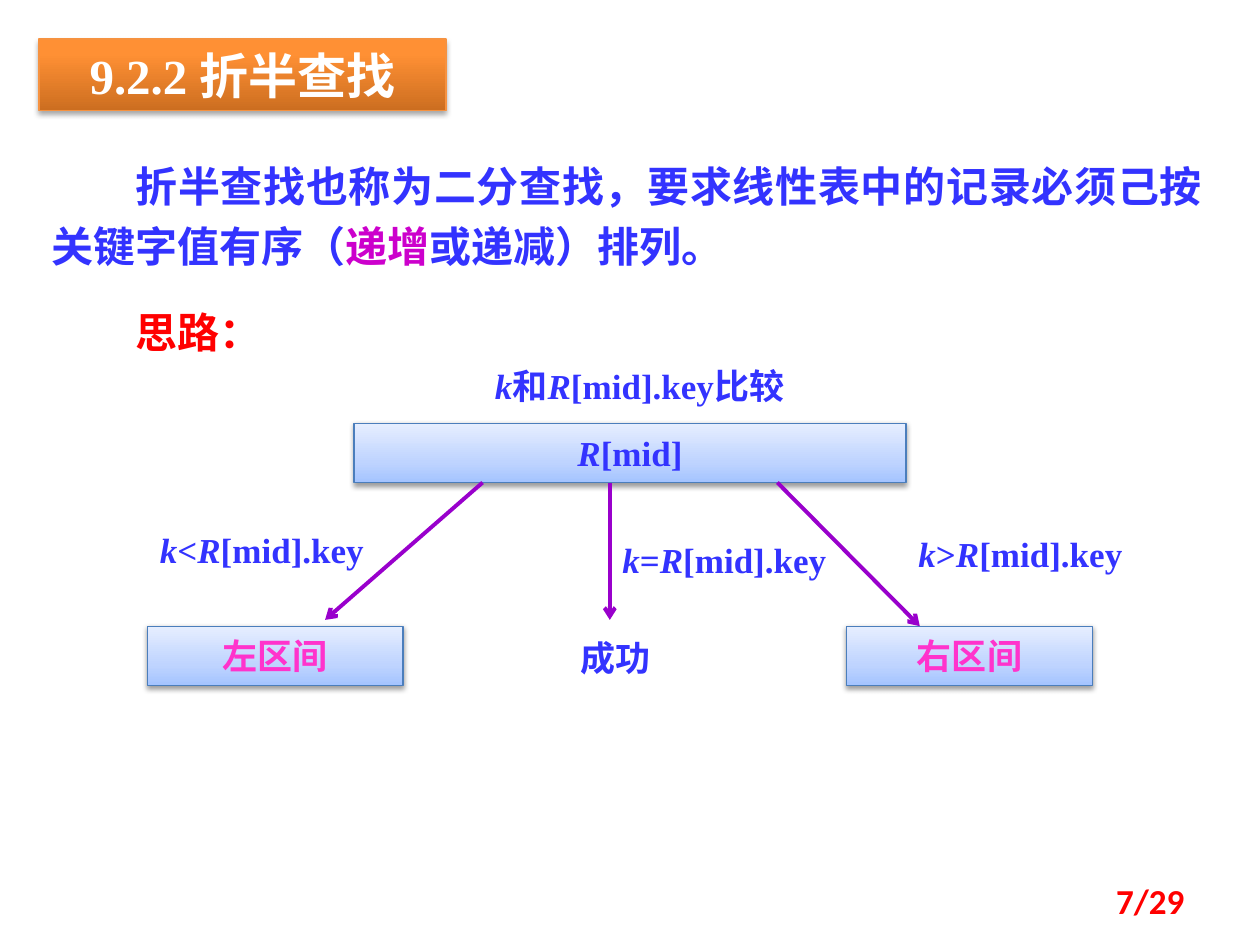
from dataclasses import dataclass
from typing import NamedTuple, Optional

from lxml import etree
from pptx import Presentation
from pptx import util as u
from pptx.dml.color import RGBColor
from pptx.enum import shapes, text
from pptx.oxml import ns, parse_xml

LEFT, CENTER, RIGHT = text.PP_ALIGN.LEFT, text.PP_ALIGN.CENTER, text.PP_ALIGN.RIGHT


@dataclass(frozen=True)
class Theme:
    serif: str = "Times New Roman"
    sans: str = "Noto Sans CJK SC"
    footer: str = "Calibri"
    blue: str = "3333FF"
    purple: str = "CC00CC"
    red: str = "FF0000"
    pink: str = "FF33CC"
    white: str = "FFFFFF"
    arrow: str = "9900CC"
    title_size: int = 28
    body_size: int = 24
    label_size: int = 20


THEME = Theme()


class Area(NamedTuple):
    left: float
    top: float
    width: float
    height: float


class Style(NamedTuple):
    font: str
    size: int
    color: str
    align: text.PP_ALIGN = LEFT


class Span(NamedTuple):
    words: str
    italic: bool = False
    color: Optional[str] = None


class Panel(NamedTuple):
    stops: tuple
    line: str
    shadow_alpha: int
    shadow_distance: float


class Block(NamedTuple):
    area: Area
    spans: list
    style: Style
    panel: Optional[Panel] = None


class Arrow(NamedTuple):
    start: tuple
    end: tuple


ORANGE = Panel(((0, "CC6E20"), (80, "FF9034"), (100, "FF9136")), "F69240", 35, 1.8)
SKY = Panel(((0, "A4C4FF"), (35, "BFD4FF"), (100, "E6EEFF")), "4B7EBC", 38, 1.6)

TITLE = Style(THEME.serif, THEME.title_size, THEME.white, CENTER)
BODY = Style(THEME.serif, THEME.body_size, THEME.blue, text.PP_ALIGN.JUSTIFY)
IDEA = Style(THEME.sans, THEME.body_size, THEME.red, text.PP_ALIGN.JUSTIFY)
LABEL = Style(THEME.serif, THEME.label_size, THEME.blue)
NODE = LABEL._replace(align=CENTER)
RANGE = Style(THEME.sans, THEME.label_size, THEME.pink, CENTER)
RESULT = RANGE._replace(color=THEME.blue)
PAGE_NUMBER = Style(THEME.footer, THEME.label_size, THEME.red, RIGHT)


def comparison(sign: str) -> list:
    return [Span("k", True), Span(sign), Span("R", True), Span("[mid].key")]


BLOCKS = [
    Block(Area(0.31, 0.31, 3.23, 0.57), [Span("9.2.2 折半查找")], TITLE, ORANGE),
    Block(Area(2.81, 3.36, 4.38, 0.47), [Span("R", True), Span("[mid]")], NODE, SKY),
    Block(Area(1.17, 4.97, 2.03, 0.47), [Span("左区间")], RANGE, SKY),
    Block(Area(6.72, 4.97, 1.95, 0.47), [Span("右区间")], RANGE, SKY),
    Block(Area(3.83, 2.84, 2.81, 0.44), comparison("和") + [Span("比较")], LABEL),
    Block(Area(1.17, 4.14, 1.95, 0.44), comparison("<"), LABEL),
    Block(Area(4.84, 4.22, 1.95, 0.44), comparison("="), LABEL),
    Block(Area(7.19, 4.17, 1.95, 0.44), comparison(">"), LABEL),
    Block(Area(4.3, 5, 1.17, 0.44), [Span("成功")], RESULT),
    Block(Area(7.17, 6.95, 2.33, 0.4), [Span("7/29")], PAGE_NUMBER),
]

ARROWS = [
    Arrow((3.83, 3.83), (2.58, 4.92)),
    Arrow((4.84, 3.83), (4.84, 4.92)),
    Arrow((6.17, 3.83), (7.3, 4.97)),
]


def inches(lengths) -> list:
    return [u.Inches(length) for length in lengths]


def write(para, spans: list, style: Style) -> None:
    para.alignment = style.align
    para.font.name = style.font
    para.font.size = u.Pt(style.size)
    para.font.bold = True
    para.font.color.rgb = RGBColor.from_string(style.color)
    for span in spans:
        run = para.add_run()
        run.text = span.words
        if span.italic:
            run.font.italic = True
        if span.color:
            run.font.color.rgb = RGBColor.from_string(span.color)


def paint(box, panel: Panel) -> None:
    box.shadow.inherit = False
    box.line.color.rgb = RGBColor.from_string(panel.line)
    box.line.width = u.Pt(0.75)
    stops = "".join(
        f'<a:gs pos="{position * 1000}"><a:srgbClr val="{color}"/></a:gs>'
        for position, color in panel.stops
    )
    properties = box._element.spPr
    properties.insert(2, parse_xml(
        f'<a:gradFill {ns.nsdecls("a")} rotWithShape="1"><a:gsLst>{stops}</a:gsLst>'
        '<a:lin ang="16200000" scaled="0"/></a:gradFill>'))
    properties.find(ns.qn("a:effectLst")).append(parse_xml(
        f'<a:outerShdw {ns.nsdecls("a")} blurRad="{u.Pt(3.1)}" '
        f'dist="{u.Pt(panel.shadow_distance)}" dir="5400000" rotWithShape="0">'
        f'<a:srgbClr val="000000"><a:alpha val="{panel.shadow_alpha * 1000}"/>'
        '</a:srgbClr></a:outerShdw>'))


def add_block(page, block: Block) -> None:
    if block.panel:
        box = page.shapes.add_shape(shapes.MSO_SHAPE.RECTANGLE, *inches(block.area))
        paint(box, block.panel)
    else:
        box = page.shapes.add_textbox(*inches(block.area))
    frame = box.text_frame
    frame.word_wrap = True
    frame.vertical_anchor = text.MSO_ANCHOR.MIDDLE
    frame.margin_top = frame.margin_bottom = 0
    write(frame.paragraphs[0], block.spans, block.style)


def add_body(page, area: Area) -> None:
    frame = page.shapes.add_textbox(*inches(area)).text_frame
    frame.word_wrap = True
    definition = frame.paragraphs[0]
    idea = frame.add_paragraph()
    for para in (definition, idea):
        para.line_spacing = u.Pt(34.3)
        para._p.get_or_add_pPr().set("indent", str(u.Pt(2 * THEME.body_size)))
    idea.space_before = u.Pt(15)
    write(definition, [
        Span("折半查找也称为二分查找，要求线性表中的记录必须己按关键字值有序（"),
        Span("递增", color=THEME.purple),
        Span("或递减）排列。"),
    ], BODY)
    write(idea, [Span("思路：")], IDEA)


def add_arrow(page, arrow: Arrow) -> None:
    connector = page.shapes.add_connector(
        shapes.MSO_CONNECTOR.STRAIGHT, *inches(arrow.start + arrow.end))
    connector.line.color.rgb = RGBColor.from_string(THEME.arrow)
    connector.line.width = u.Pt(2.25)
    etree.SubElement(connector.line._get_or_add_ln(), ns.qn("a:tailEnd"), type="arrow")
    etree.SubElement(connector._element.spPr, ns.qn("a:effectLst"))


def main() -> None:
    deck = Presentation()
    deck.slide_width, deck.slide_height = inches((10, 7.5))
    page = deck.slides.add_slide(deck.slide_layouts[6])
    add_body(page, Area(0.31, 1.15, 9.33, 1.74))
    for block in BLOCKS:
        add_block(page, block)
    for arrow in ARROWS:
        add_arrow(page, arrow)
    deck.save("out.pptx")


if __name__ == "__main__":
    main()
